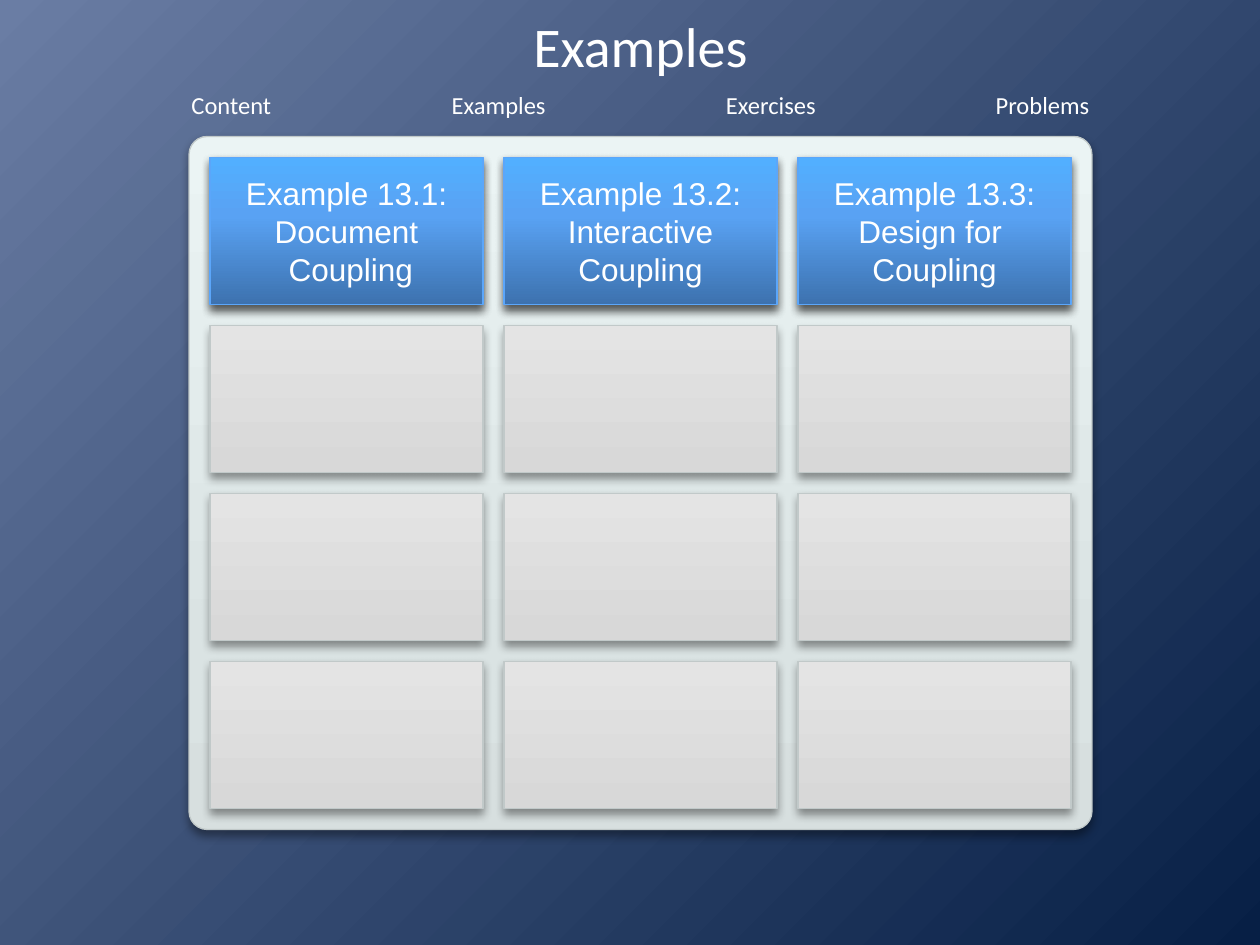
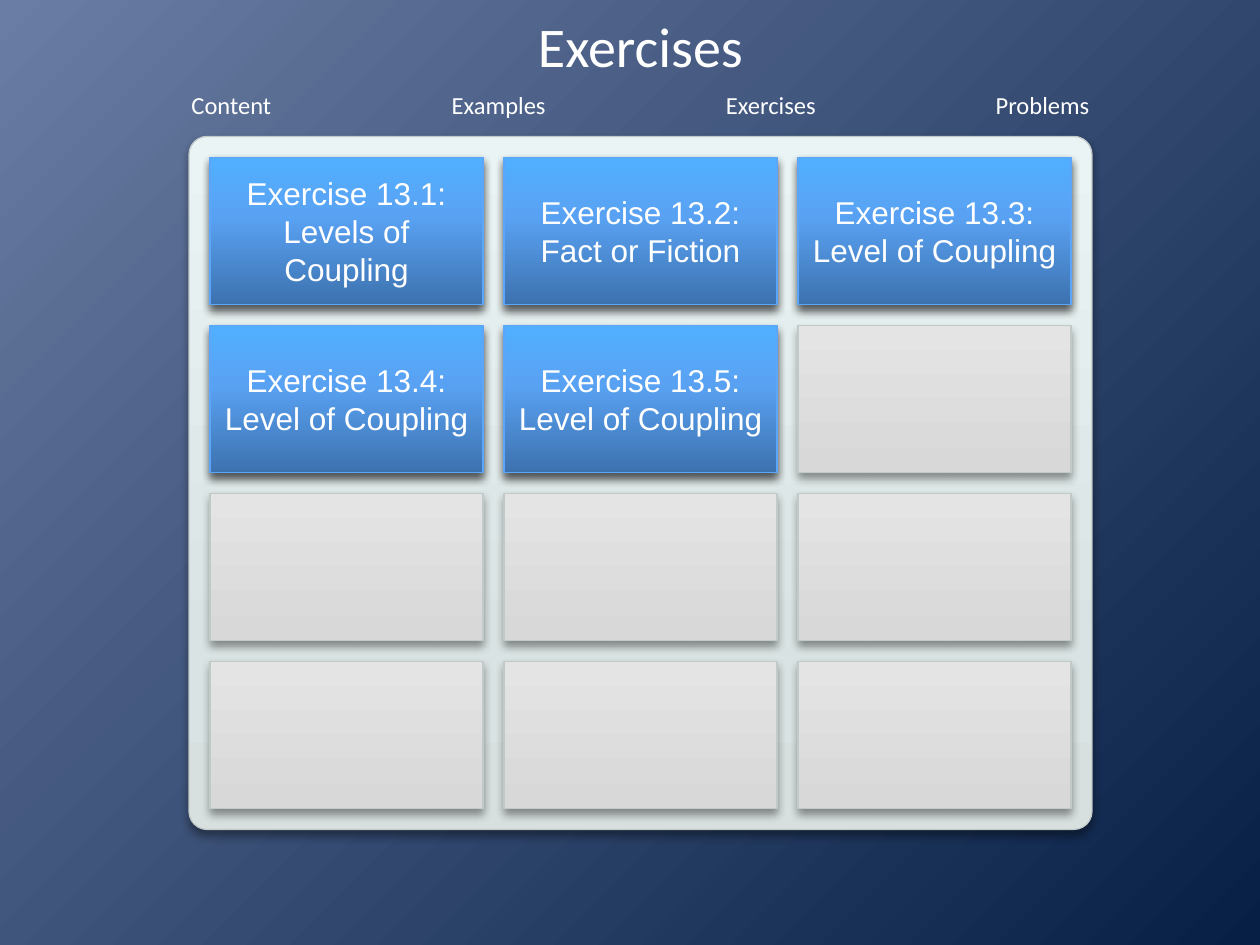
"""Build the Examples and Exercises overview slides on a shared card-grid layout."""

from dataclasses import dataclass

from lxml import etree
from pptx import Presentation
from pptx.dml.color import RGBColor
from pptx.enum.shapes import MSO_SHAPE
from pptx.enum.text import MSO_ANCHOR, MSO_AUTO_SIZE, PP_ALIGN
from pptx.oxml.ns import qn
from pptx.util import Pt

RECTANGLE = MSO_SHAPE.RECTANGLE
ROUNDED_RECTANGLE = MSO_SHAPE.ROUNDED_RECTANGLE
MIDDLE = MSO_ANCHOR.MIDDLE
CENTER = PP_ALIGN.CENTER
NO_AUTO_SIZE = MSO_AUTO_SIZE.NONE
FIT_SHAPE = MSO_AUTO_SIZE.SHAPE_TO_FIT_TEXT

WHITE = "FFFFFF"
BLACK = "000000"
TITLE_ONLY_LAYOUT = 5
DEGREE = 60000
PERCENT = 1000
COLUMNS, ROWS = 3, 4
NAVIGATION_GAP = 88


@dataclass(frozen=True)
class Box:
    left: float
    top: float
    width: float
    height: float

    def lengths(self) -> tuple:
        return Pt(self.left), Pt(self.top), Pt(self.width), Pt(self.height)


@dataclass(frozen=True)
class PanelStyle:
    stops: tuple
    line: str


@dataclass(frozen=True)
class NavigationItem:
    label: str
    width: float


@dataclass(frozen=True)
class Topic:
    title: str
    cards: tuple


BACKGROUND_STOPS = ((0, "6A7DA4"), (100, "071F45"))
PANEL_STYLE = PanelStyle(((0, "D7DFDF"), (25, "DAE3E3"), (100, "EBF4F4")), "C1C9C9")
SLOT_STYLE = PanelStyle(((0, "D8D8D8"), (1, "D8D8D8"), (100, "E4E4E4")), "C1C9C9")
CARD_STYLE = PanelStyle(((0, "3D72AF"), (60, "59A2F3"), (100, "52AFFF")), "5BA6FA")

PANEL = Box(108, 78, 516, 396)
TITLE = Box(108, 8, 516, 36)
NAVIGATION = (
    NavigationItem("Content", 60.5),
    NavigationItem("Examples", 69),
    NavigationItem("Exercises", 66),
    NavigationItem("Problems", 68.5),
)
TOPICS = (
    Topic("Examples", (
        "Example 13.1:\vDocument\n Coupling",
        "Example 13.2:\vInteractive\nCoupling",
        "Example 13.3:\vDesign for \vCoupling",
    )),
    Topic("Exercises", (
        "Exercise 13.1:\vLevels of Coupling",
        "Exercise 13.2:\vFact or Fiction",
        "Exercise 13.3:\vLevel of Coupling",
        "Exercise 13.4:\vLevel of Coupling",
        "Exercise 13.5:\vLevel of Coupling",
    )),
)


def color(value: str) -> RGBColor:
    return RGBColor.from_string(value)


def add_color(parent, value: str):
    return etree.SubElement(parent, qn("a:srgbClr"), val=str(color(value)))


def replace_solid_fill(properties, stops: tuple, circular: bool = False) -> None:
    gradient = etree.Element(qn("a:gradFill"), rotWithShape="1")
    stop_list = etree.SubElement(gradient, qn("a:gsLst"))
    for position, value in stops:
        stop = etree.SubElement(stop_list, qn("a:gs"), pos=str(position * PERCENT))
        add_color(stop, value)
    if circular:
        path = etree.SubElement(gradient, qn("a:path"), path="circle")
        etree.SubElement(path, qn("a:fillToRect"), r=str(100 * PERCENT), b=str(100 * PERCENT))
    else:
        etree.SubElement(gradient, qn("a:lin"), ang=str(270 * DEGREE), scaled="0")
    properties.replace(properties.find(qn("a:solidFill")), gradient)


def add_shadow(shape) -> None:
    shape.shadow.inherit = False
    effects = shape.element.spPr.find(qn("a:effectLst"))
    shadow = etree.SubElement(
        effects, qn("a:outerShdw"), blurRad=str(Pt(5.2)), dist=str(Pt(3)),
        dir=str(90 * DEGREE), algn="t", rotWithShape="0",
    )
    etree.SubElement(add_color(shadow, BLACK), qn("a:alpha"), val=str(40 * PERCENT))


def add_panel(slide, kind, box: Box, style: PanelStyle):
    shape = slide.shapes.add_shape(kind, *box.lengths())
    shape.fill.solid()
    replace_solid_fill(shape.element.spPr, style.stops)
    shape.line.color.rgb = color(style.line)
    shape.line.width = Pt(0.75)
    add_shadow(shape)
    return shape


def write_text(text_frame, text: str, font_name: str, size: float) -> None:
    text_frame.text = text
    for paragraph in text_frame.paragraphs:
        paragraph.alignment = CENTER
        for run in paragraph.runs:
            run.font.name = font_name
            run.font.size = Pt(size)
            run.font.color.rgb = color(WHITE)


def slot_box(index: int) -> Box:
    row, column = divmod(index, COLUMNS)
    return Box(120 + 168 * column, 90 + 96 * row, 156, 84)


def add_navigation(slide) -> list:
    labels = []
    left = 102
    for item in NAVIGATION:
        label = slide.shapes.add_textbox(*Box(left, 48, item.width, 24.5).lengths())
        write_text(label.text_frame, item.label, "Calibri", 14)
        label.text_frame.word_wrap = False
        label.text_frame.auto_size = FIT_SHAPE
        labels.append(label)
        left += item.width + NAVIGATION_GAP
    return labels


def furnish_layout(layout, slide) -> None:
    layout.background.fill.solid()
    background = layout.element.find(".//" + qn("p:bgPr"))
    replace_solid_fill(background, BACKGROUND_STOPS, circular=True)
    for placeholder in list(layout.placeholders)[1:]:
        layout.shapes.element.remove(placeholder.element)

    panel = add_panel(slide, ROUNDED_RECTANGLE, PANEL, PANEL_STYLE)
    panel.adjustments[0] = 0.026
    slots = [
        add_panel(slide, RECTANGLE, slot_box(index), SLOT_STYLE)
        for index in range(COLUMNS * ROWS)
    ]
    for shape in [panel, *slots, *add_navigation(slide)]:
        layout.shapes.element.append(shape.element)


def set_title(slide, text: str) -> None:
    title = slide.shapes.title
    title.left, title.top, title.width, title.height = TITLE.lengths()
    frame = title.text_frame
    frame.margin_left = frame.margin_right = frame.margin_top = frame.margin_bottom = 0
    frame.vertical_anchor = MIDDLE
    frame.word_wrap = True
    frame.auto_size = NO_AUTO_SIZE
    write_text(frame, text, "Calibri", 32)


def fill_slide(slide, topic: Topic) -> None:
    set_title(slide, topic.title)
    for index, text in enumerate(topic.cards):
        card = add_panel(slide, RECTANGLE, slot_box(index), CARD_STYLE)
        card.text_frame.word_wrap = True
        card.text_frame.vertical_anchor = MIDDLE
        write_text(card.text_frame, text, "Arial", 18)


def main() -> None:
    presentation = Presentation()
    presentation.slide_width, presentation.slide_height = Pt(720), Pt(540)
    layout = presentation.slide_layouts[TITLE_ONLY_LAYOUT]
    slides = [presentation.slides.add_slide(layout) for topic in TOPICS]
    furnish_layout(layout, slides[0])
    for slide, topic in zip(slides, TOPICS):
        fill_slide(slide, topic)
    presentation.save("out.pptx")


if __name__ == "__main__":
    main()
